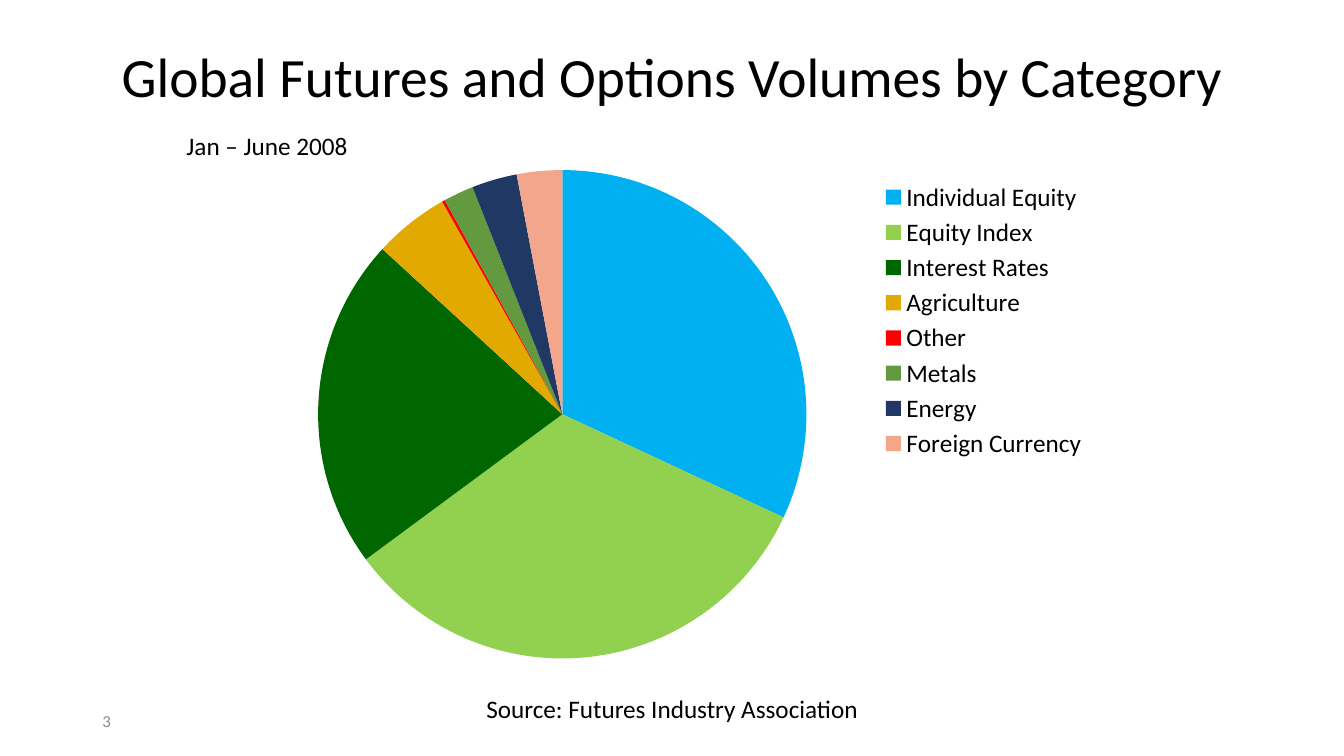
from dataclasses import dataclass

from lxml import etree
from pptx import Presentation
from pptx.chart.data import CategoryChartData
from pptx.dml.color import RGBColor
from pptx.enum.chart import XL_CHART_TYPE, XL_LEGEND_POSITION
from pptx.enum.text import MSO_ANCHOR, MSO_AUTO_SIZE, PP_ALIGN
from pptx.oxml.ns import qn
from pptx.util import Cm, Pt

PIE = XL_CHART_TYPE.PIE
RIGHT = XL_LEGEND_POSITION.RIGHT
TOP, MIDDLE = MSO_ANCHOR.TOP, MSO_ANCHOR.MIDDLE
LEFT, CENTER = PP_ALIGN.LEFT, PP_ALIGN.CENTER

FONT = "Calibri"
BLACK = RGBColor(0x00, 0x00, 0x00)
GRAY = RGBColor(0x8C, 0x8C, 0x8C)
SKY = RGBColor(0x00, 0xB0, 0xF0)
LIME = RGBColor(0x92, 0xD0, 0x50)
FOREST = RGBColor(0x00, 0x66, 0x00)
GOLD = RGBColor(0xE2, 0xAA, 0x00)
RED = RGBColor(0xFF, 0x00, 0x00)
GREEN = RGBColor(0x63, 0x9A, 0x3F)
NAVY = RGBColor(0x20, 0x38, 0x64)
SALMON = RGBColor(0xF2, 0xA7, 0x8D)


@dataclass
class Slice:
    name: str
    share: float
    color: RGBColor


@dataclass
class Box:
    left: float
    top: float
    width: float
    height: float

    def lengths(self):
        return Cm(self.left), Cm(self.top), Cm(self.width), Cm(self.height)


SLICES = [
    Slice("Individual Equity", 32, SKY),
    Slice("Equity Index", 33, LIME),
    Slice("Interest Rates", 22, FOREST),
    Slice("Agriculture", 5, GOLD),
    Slice("Other", 0.2, RED),
    Slice("Metals", 2, GREEN),
    Slice("Energy", 3, NAVY),
    Slice("Foreign Currency", 3, SALMON),
]


def write(shape, text: str, *, size: float = 18, color: RGBColor = BLACK,
          align=LEFT, anchor=TOP, spacing: float = 1.0) -> None:
    frame = shape.text_frame
    frame.word_wrap = True
    frame.auto_size = MSO_AUTO_SIZE.NONE
    frame.vertical_anchor = anchor
    frame.text = text
    line = frame.paragraphs[0]
    line.alignment = align
    line.line_spacing = spacing
    line.font.name = FONT
    line.font.size = Pt(size)
    line.font.color.rgb = color


def place(part, box: Box, inner: bool = False) -> None:
    """Fix a chart part at a box given in fractions of the chart."""
    old = part.find(qn("c:layout"))
    if old is not None:
        part.remove(old)
    layout = etree.Element(qn("c:layout"))
    manual = etree.SubElement(layout, qn("c:manualLayout"))
    marks = [("layoutTarget", "inner")] if inner else []
    marks += [("xMode", "edge"), ("yMode", "edge"),
              ("x", box.left), ("y", box.top), ("w", box.width), ("h", box.height)]
    for tag, value in marks:
        etree.SubElement(manual, qn(f"c:{tag}")).set("val", str(value))
    # The layout comes first in a plot area, and after the position in a legend.
    part.insert(0 if inner else 1, layout)


def add_pie(slide, box: Box) -> None:
    data = CategoryChartData()
    data.categories = [item.name for item in SLICES]
    data.add_series("Series 1", [item.share for item in SLICES])
    chart = slide.shapes.add_chart(PIE, *box.lengths(), data).chart
    chart.has_title = False
    chart.font.name = FONT
    chart.font.size = Pt(18)
    chart.font.color.rgb = BLACK
    chart.has_legend = True
    chart.legend.position = RIGHT
    chart.legend.include_in_layout = False
    plot = chart.plots[0]
    plot.vary_by_categories = True
    for index, item in enumerate(SLICES):
        fill = plot.series[0].points[index].format.fill
        fill.solid()
        fill.fore_color.rgb = item.color
    area = chart.element.find(".//" + qn("c:plotArea"))
    legend = chart.element.find(".//" + qn("c:legend"))
    place(area, Box(0.13, 0.03, 0.51, 0.95), inner=True)
    place(legend, Box(0.69, 0.05, 0.27, 0.55))


def main() -> None:
    deck = Presentation()
    deck.slide_width, deck.slide_height = Cm(33.87), Cm(19.05)
    slide = deck.slides.add_slide(deck.slide_layouts[5])

    title = slide.shapes.title
    title.left, title.top, title.width, title.height = Box(2.57, 0.84, 28.73, 2.31).lengths()
    write(title, "Global Futures and Options Volumes by Category",
          size=39.6, align=CENTER, anchor=MIDDLE, spacing=0.9)

    number = slide.shapes.add_textbox(*Box(2.33, 17.66, 7.62, 1.01).lengths())
    write(number, "3", size=12, color=GRAY, anchor=MIDDLE)

    add_pie(slide, Box(4.88, 3.81, 24.13, 13.13))

    period = slide.shapes.add_textbox(*Box(4.45, 3.15, 5.51, 1.03).lengths())
    write(period, "Jan – June 2008")

    source = slide.shapes.add_textbox(*Box(9.22, 17.35, 15.44, 1.03).lengths())
    write(source, "Source: Futures Industry Association", align=CENTER)

    deck.save("out.pptx")


if __name__ == "__main__":
    main()
